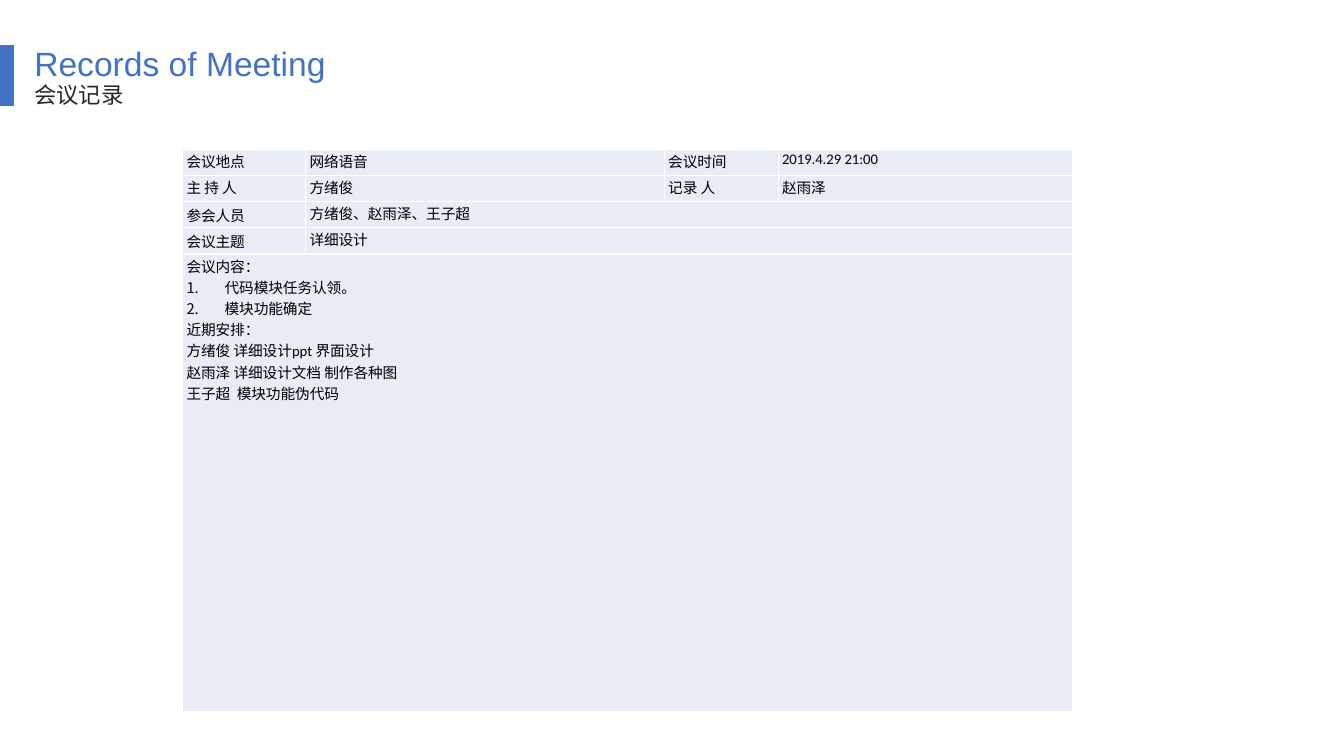
from lxml.etree import SubElement
from pptx import Presentation
from pptx.dml.color import RGBColor
from pptx.enum.shapes import MSO_SHAPE
from pptx.enum.text import MSO_ANCHOR, MSO_AUTO_SIZE, PP_ALIGN
from pptx.oxml.ns import qn
from pptx.util import Cm, Pt

# Content
HEAD = "Records of Meeting"
SUB = "会议记录"
ROWS = [
    ["会议地点", "网络语音", "会议时间", "2019.4.29 21:00"],
    ["主 持 人", "方绪俊", "记录 人", "赵雨泽"],
    ["参会人员", "方绪俊、赵雨泽、王子超"],
    ["会议主题", "详细设计"],
    ["会议内容："],
]
TASKS = ["代码模块任务认领。", "模块功能确定"]
PLANS = ["近期安排：", "方绪俊 详细设计ppt 界面设计",
         "赵雨泽 详细设计文档 制作各种图", "王子超  模块功能伪代码"]

# Format
BLUE, DARK, BLACK, PALE = "4472C4", "262626", "000000", "E9EBF5"
COLS = [3.1, 9.04, 2.87, 7.42]
TALL = [0.66] * 4 + [11.53]
CELL = dict(margin_left=Cm(0.1), margin_right=Cm(0.1),
            margin_top=Cm(0.03), margin_bottom=0)
FRAME = dict(word_wrap=True, auto_size=MSO_AUTO_SIZE.NONE,
             vertical_anchor=MSO_ANCHOR.MIDDLE)


def shade(fill, tint):
    fill.solid()
    fill.fore_color.rgb = RGBColor.from_string(tint)


def put(item, style):
    for name, value in style.items():
        setattr(item, name, value)


def write(para, text, size, tint, font, align):
    run = para.add_run()
    run.text = text
    put(run.font, dict(size=Pt(size), name=font))
    run.font.color.rgb = RGBColor.from_string(tint)
    para.alignment = align


def label(shape, text, top, high, size, tint, gap):
    put(shape, dict(left=Cm(0.61), top=Cm(top), width=Cm(18.2), height=Cm(high)))
    put(shape.text_frame, FRAME)
    para = shape.text_frame.paragraphs[0]
    write(para, text, size, tint, "Arial", PP_ALIGN.LEFT)
    para.line_spacing = gap


def note(para, text):
    write(para, text, 10.5, BLACK, "Calibri", PP_ALIGN.JUSTIFY)


def number(para):
    props = para._p.get_or_add_pPr()
    props.set("marL", str(Cm(0.96)))
    props.set("indent", str(-Cm(0.96)))
    SubElement(props, qn("a:buFont"), typeface="+mj-lt")
    SubElement(props, qn("a:buAutoNum"), type="arabicPeriod")


deck = Presentation()
put(deck, dict(slide_width=Cm(33.87), slide_height=Cm(19.05)))
slide = deck.slides.add_slide(deck.slide_layouts[5])
shapes = slide.shapes

# Accent bar and headings
bar = shapes.add_shape(MSO_SHAPE.RECTANGLE, 0, Cm(1.14), Cm(0.35), Cm(1.53))
bar.shadow.inherit = False
shade(bar.fill, BLUE)
bar.line.fill.background()
label(shapes.title, HEAD, 1.09, 1.17, 24, BLUE, 0.8)
label(shapes.add_textbox(0, 0, 0, 0), SUB, 1.98, 0.89, 16, DARK, 0.9)

# Meeting table
table = shapes.add_table(len(TALL), len(COLS), Cm(4.6), Cm(3.76),
                         Cm(sum(COLS)), Cm(sum(TALL))).table
put(table, dict(first_row=False, horz_banding=False))
for col, width in zip(table.columns, COLS):
    col.width = Cm(width)
for row, height in zip(table.rows, TALL):
    row.height = Cm(height)

last = len(COLS) - 1
for r, texts in enumerate(ROWS):
    for c, text in enumerate(texts):
        cell = table.cell(r, c)
        if c == len(texts) - 1 < last:
            cell.merge(table.cell(r, last))
        note(cell.text_frame.paragraphs[0], text)
        if c == 0 and len(texts) == 2:
            cell.vertical_anchor = MSO_ANCHOR.MIDDLE
for cell in table.iter_cells():
    put(cell, CELL)
    shade(cell.fill, PALE)

# Agenda and plans in the last row
body = table.cell(len(ROWS) - 1, 0).text_frame
for text in TASKS + PLANS:
    para = body.add_paragraph()
    note(para, text)
    if text in TASKS:
        number(para)

deck.save("out.pptx")
